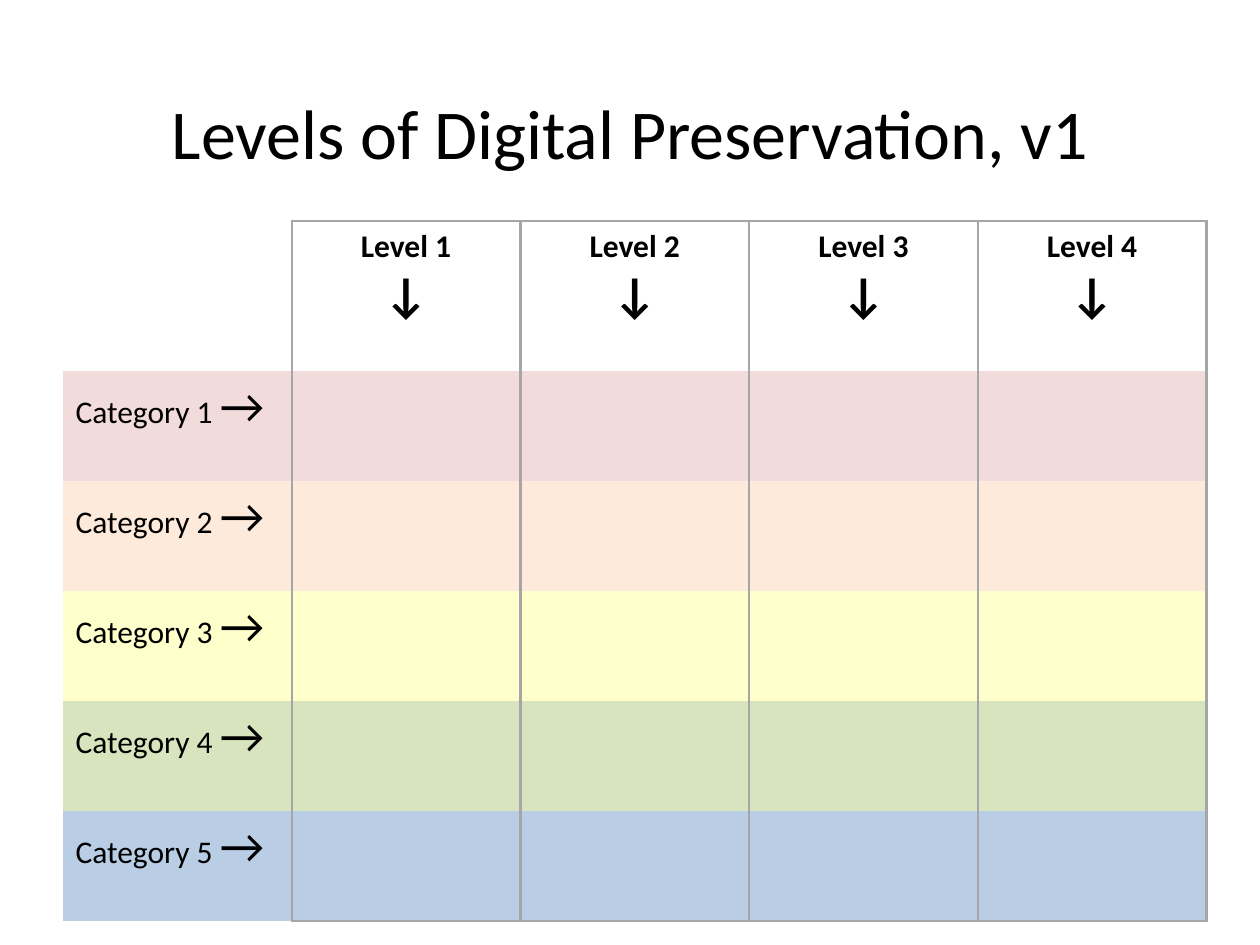
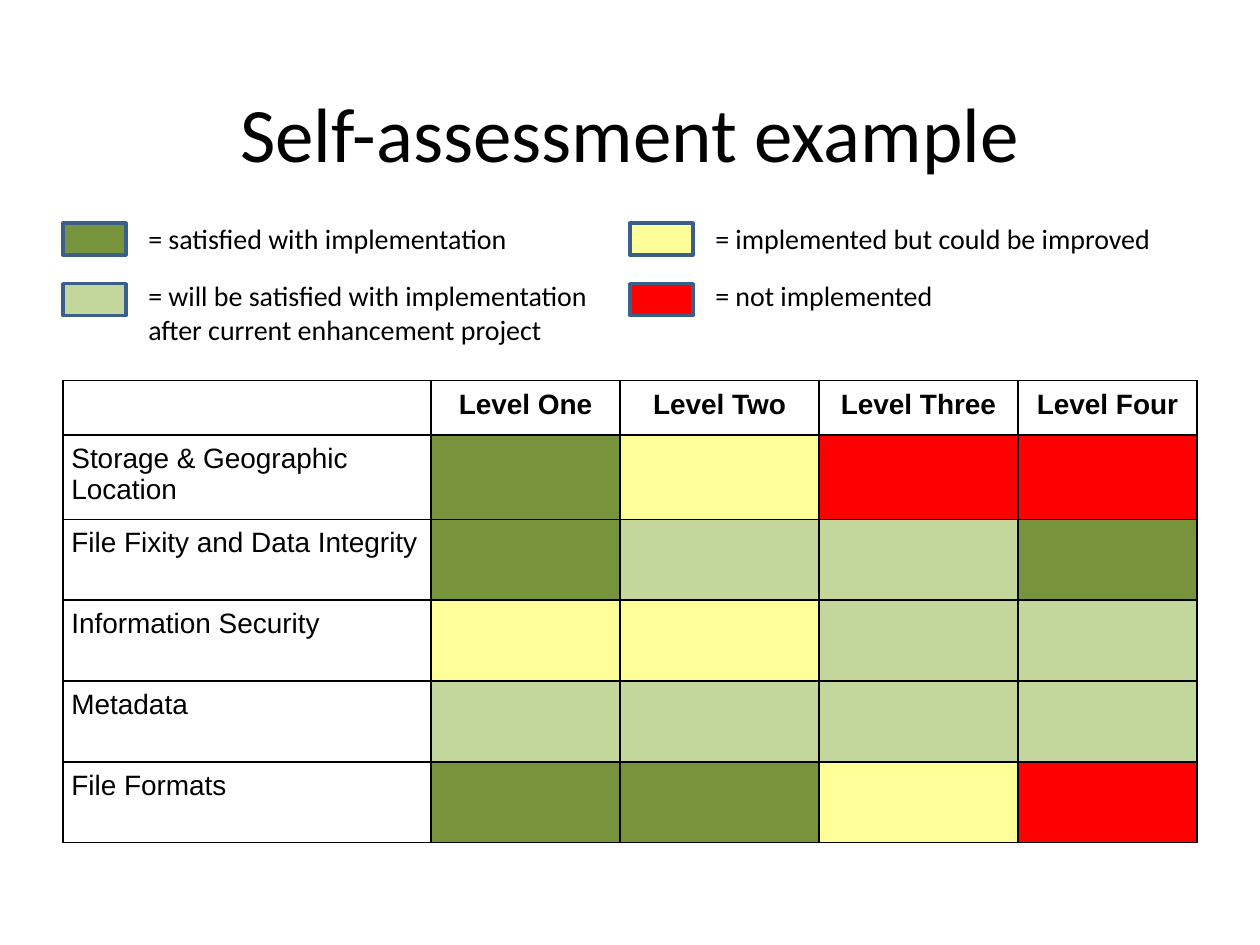
from pptx import Presentation
from pptx.dml.color import RGBColor
from pptx.enum import shapes, text
from pptx.oxml.ns import qn
from pptx.util import Cm, Pt
from lxml import etree

BLACK, GREY, BLUE = "000000", "A6A6A6", "3A5F8C"
LEFT = 1.27

LEVELS = ["Level 1", "Level 2", "Level 3", "Level 4"]
BANDS = [
    ("Category 1 ", "F2DCDB"),
    ("Category 2 ", "FDEADA"),
    ("Category 3 ", "FFFFCC"),
    ("Category 4 ", "D7E4BD"),
    ("Category 5 ", "B9CDE5"),
]

STATES = {"done": "77933C", "soon": "C3D69B", "part": "FFFF99", "none": "FF0000"}
# state, column, row, lines of the legend
LEGEND = [
    ("done", 0, 0, ["= satisfied with implementation"]),
    ("soon", 0, 1, ["= will be satisfied with implementation",
                    "after current enhancement project"]),
    ("part", 1, 0, ["= implemented but could be improved"]),
    ("none", 1, 1, ["= not implemented"]),
]
HEADS = ["Level One", "Level Two", "Level Three", "Level Four"]
SCORES = [
    ("Storage & Geographic Location", "done part none none"),
    ("File Fixity and Data Integrity", "done soon soon done"),
    ("Information Security", "part part soon soon"),
    ("Metadata", "soon soon soon soon"),
    ("File Formats", "done done part none"),
]


def color(code):
    return RGBColor.from_string(code)


def write(frame, lines, name="Calibri", bold=False, center=False):
    """Fill a frame; each line is a list of (text, size) runs."""
    frame.word_wrap = True
    for i, runs in enumerate(lines):
        para = frame.paragraphs[0] if i == 0 else frame.add_paragraph()
        para.alignment = text.PP_ALIGN.CENTER if center else text.PP_ALIGN.LEFT
        for words, size in runs:
            run = para.add_run()
            run.text = words
            look = {"name": name, "size": Pt(size), "bold": bold}
            for key, value in look.items():
                setattr(run.font, key, value)
            run.font.color.rgb = color(BLACK)


def label(slide, box, lines, **look):
    shape = slide.shapes.add_textbox(*map(Cm, box))
    write(shape.text_frame, lines, **look)
    return shape


def start(deck, words, size):
    """Add a blank slide with its title."""
    slide = deck.slides.add_slide(deck.slide_layouts[6])
    title = label(slide, (LEFT, 1.07, 22.86, 3.18), [[(words, size)]], center=True)
    title.text_frame.vertical_anchor = text.MSO_ANCHOR.MIDDLE
    return slide


def grid(slide, top, cols, rows):
    """Add a table without style bands, sized by its columns and rows."""
    box = (LEFT, top, sum(cols), sum(rows))
    table = slide.shapes.add_table(len(rows), len(cols), *map(Cm, box)).table
    table.first_row = table.horz_banding = False
    for col, width in zip(table.columns, cols):
        col.width = Cm(width)
    for row, height in zip(table.rows, rows):
        row.height = Cm(height)
    return table


def dress(cell, edges, tone, width, fill=None):
    """Draw the named edges (letters of LRTB), clear the others, set the fill."""
    props = cell._tc.get_or_add_tcPr()
    for side in "LRTB":
        line = etree.SubElement(props, qn("a:ln" + side), w=str(Pt(width)))
        if side in edges:
            solid = etree.SubElement(line, qn("a:solidFill"))
            etree.SubElement(solid, qn("a:srgbClr"), val=tone)
        else:
            etree.SubElement(line, qn("a:noFill"))
    if fill:
        cell.fill.solid()
        cell.fill.fore_color.rgb = color(fill)
    else:
        cell.fill.background()


def levels(deck):
    slide = start(deck, "Levels of Digital Preservation, v1", 40)
    table = grid(slide, 4.45, [4.61] * 5, [3.02] + [2.22] * len(BANDS))
    fills = [None] + [fill for _, fill in BANDS]
    for r, fill in enumerate(fills):
        for c in range(5):
            edges = "LR" if c else "R"
            if c and r == 0:
                edges += "T"
            if c and r == len(BANDS):
                edges += "B"
            dress(table.cell(r, c), edges, GREY, 1.5, fill)
    for c, name in enumerate(LEVELS, 1):
        write(table.cell(0, c).text_frame, [[(name, 18)], [("↓", 28)]],
              bold=True, center=True)
    for r, (name, _) in enumerate(BANDS, 1):
        write(table.cell(r, 0).text_frame, [[(name, 18), ("→", 28)]])


def legend(slide):
    for state, col, row, lines in LEGEND:
        x = LEFT + col * 11.43
        box = (x, 4.5 + row * 1.22, 1.27, 0.64)
        key = slide.shapes.add_shape(shapes.MSO_SHAPE.RECTANGLE, *map(Cm, box))
        key.shadow.inherit = False
        key.fill.solid()
        key.fill.fore_color.rgb = color(STATES[state])
        key.line.color.rgb = color(BLUE)
        key.line.width = Pt(2)
        label(slide, (x + 1.47, 4.34 + row * 1.16, 9.53, 0.25 + 0.69 * len(lines)),
              [[(line, 16)] for line in lines])


def scores(deck):
    slide = start(deck, "Self-assessment example", 44)
    table = grid(slide, 7.67, [7.42, 3.81, 4.01, 4.01, 3.61],
                 [1.04] + [1.63] * len(SCORES))
    rows = [("", HEADS)] + [(name, marks.split()) for name, marks in SCORES]
    for r, (name, marks) in enumerate(rows):
        for c, words in enumerate([name] + marks):
            cell = table.cell(r, c)
            dress(cell, "LRTB", BLACK, 1, STATES.get(words))
            for side in ("left", "right", "top", "bottom"):
                setattr(cell, "margin_" + side, Cm(0.17))
            if words and words not in STATES:
                write(cell.text_frame, [[(words, 16)]], name="Arial",
                      bold=r == 0, center=r == 0)
    legend(slide)


def main():
    deck = Presentation()
    deck.slide_width, deck.slide_height = Cm(25.4), Cm(19.05)
    levels(deck)
    scores(deck)
    deck.save("out.pptx")


if __name__ == "__main__":
    main()
